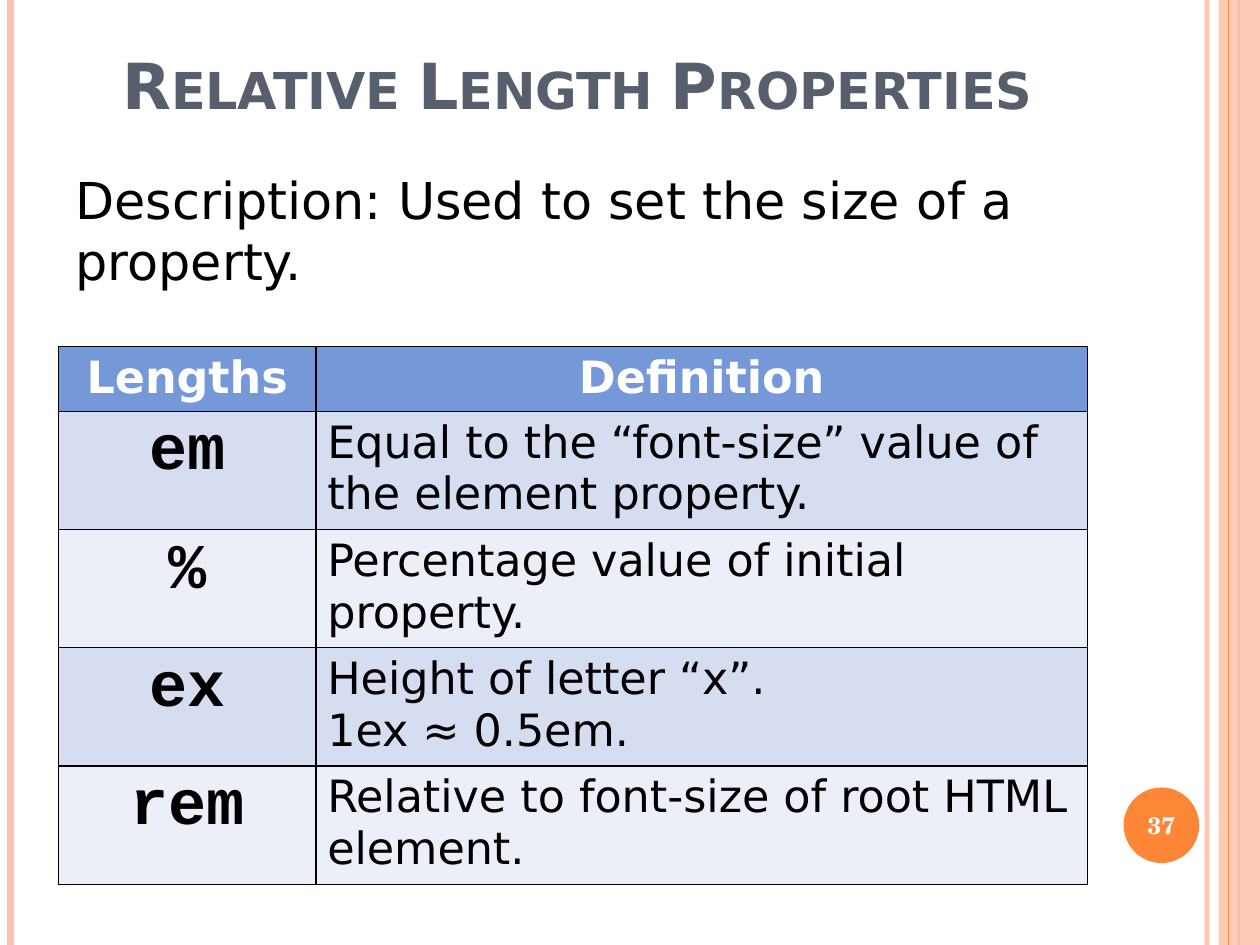
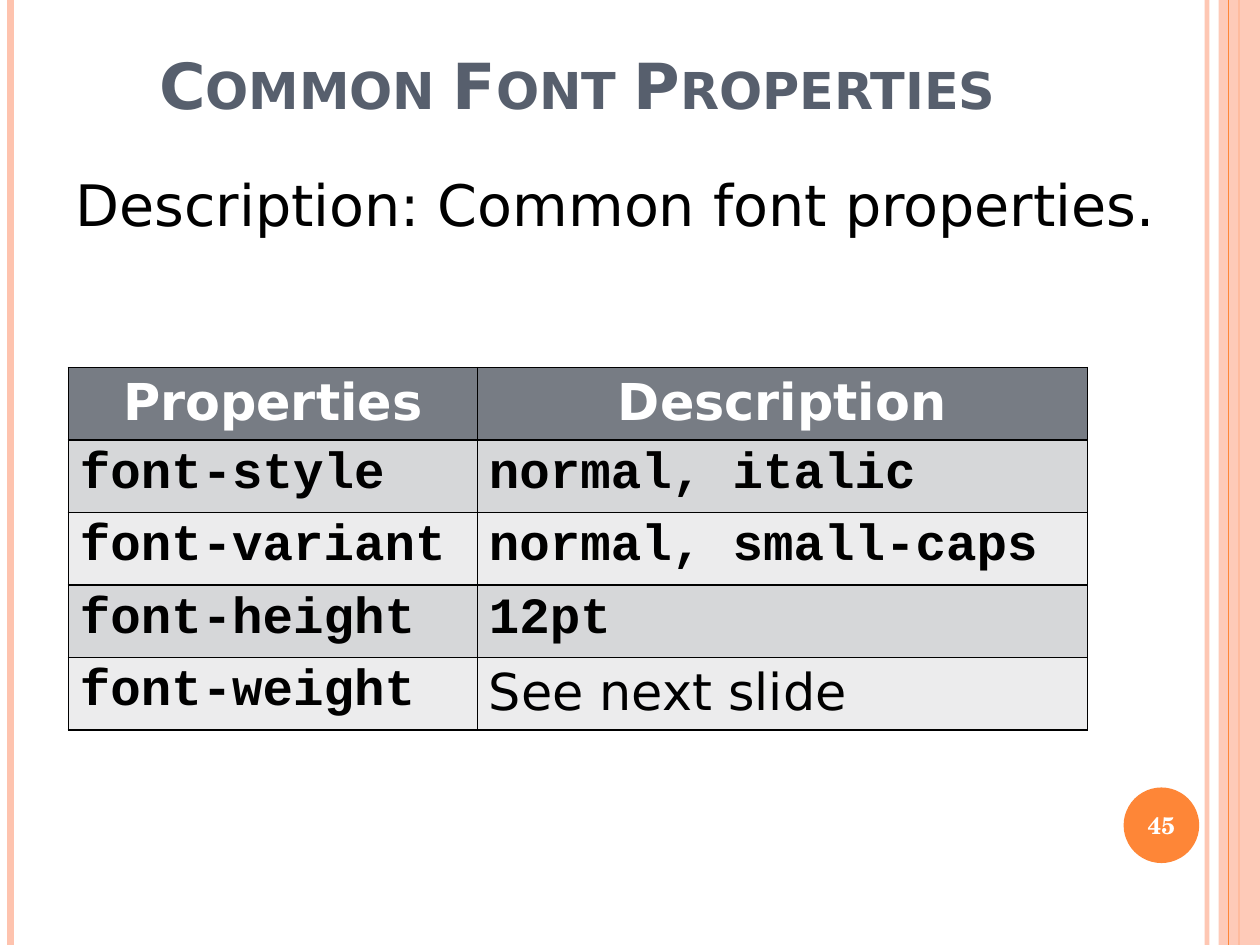
from dataclasses import dataclass

from lxml import etree
from pptx import Presentation
from pptx.dml.color import RGBColor
from pptx.enum.shapes import MSO_CONNECTOR, MSO_SHAPE
from pptx.enum.text import MSO_ANCHOR as Anchor, PP_ALIGN as Align
from pptx.oxml import parse_xml
from pptx.oxml.ns import nsdecls, qn
from pptx.util import Cm, Pt


@dataclass(frozen=True)
class Theme:
    title: str = "575F6D"
    text: str = "000000"
    white: str = "FFFFFF"
    accent: str = "FE8637"
    pale: str = "FEC3AE"
    blue: tuple = ("7598D9", "D6DDF1", "ECEFF8")  # header, odd rows, even rows
    grey: tuple = ("777C84", "D6D7D9", "ECECED")
    sans: str = "DejaVu Sans"
    mono: str = "Courier New"
    serif: str = "TeX Gyre Schola"
    title_size: int = 40
    number_size: int = 15


theme = Theme()


def write_text(frame, text, size, color=theme.text, font=theme.sans,
               bold=False, align=Align.LEFT, small_caps=False):
    frame.word_wrap = True
    paragraph = frame.paragraphs[0]
    paragraph.text = text
    paragraph.alignment = align
    for run in paragraph.runs:
        run.font.size = Pt(size)
        run.font.name = font
        run.font.bold = bold
        run.font.color.rgb = RGBColor.from_string(color)
        if small_caps:
            run.font._element.set("cap", "small")


def set_alpha(element, percent):
    color = element.find(".//" + qn("a:srgbClr"))
    etree.SubElement(color, qn("a:alpha")).set("val", str(percent * 1000))


code = dict(font=theme.mono, bold=True)
code_centred = dict(code, size=40, align=Align.CENTER)

# Slide contents: column formats apply to body rows, lengths in centimetres
slides = [
    dict(title="Relative Length Properties", number="37",
         body="Description: Used to set the size of a property.", body_size=32,
         colors=theme.blue, size=28, left=1.3, top=7.7,
         widths=(5.72, 17.14), heights=(1.4, 2.55, 2.55, 2.55, 2.55),
         formats=(code_centred, {}), exceptions={},
         rows=[("Lengths", "Definition"),
               ("em", "Equal to the “font-size” value of the element property."),
               ("%", "Percentage value of initial property."),
               ("ex", "Height of letter “x”.\v1ex ≈ 0.5em."),
               ("rem", "Relative to font-size of root HTML element.")]),
    dict(title="Common Font Properties", number="45",
         body="Description: Common font properties.", body_size=36,
         colors=theme.grey, size=32, left=1.52, top=8.17,
         widths=(9.09, 13.55), heights=(1.58, 1.53, 1.53, 1.53, 1.58),
         formats=(code, code), exceptions={(4, 1): {}},
         rows=[("Properties", "Description"),
               ("font-style", "normal, italic"),
               ("font-variant", "normal, small-caps"),
               ("font-height", "12pt"),
               ("font-weight", "See next slide")]),
]

# Vertical rules behind and in front of the right band: x, colour, points, opacity
rules_behind = [(26.82, theme.pale, 3, 93), (0.23, theme.pale, 4.5, 100),
                (27.54, theme.accent, 1.5, 100)]
rules_in_front = [(27.3, theme.accent, 0.75, 100)]

presentation = Presentation()
presentation.slide_width, presentation.slide_height = Cm(28), Cm(21)

for content in slides:
    slide = presentation.slides.add_slide(presentation.slide_layouts[6])
    shapes = slide.shapes

    # Side rules and band
    for rules in (rules_behind, rules_in_front):
        if rules is rules_in_front:
            band = shapes.add_shape(MSO_SHAPE.RECTANGLE, Cm(27.08), 0, Cm(0.92), Cm(21))
            band.shadow.inherit = False
            band.fill.solid()
            band.fill.fore_color.rgb = RGBColor.from_string(theme.pale)
            set_alpha(band._element.spPr, 87)
            band.line.fill.background()
        for x, color, points, opacity in rules:
            rule = shapes.add_connector(MSO_CONNECTOR.STRAIGHT, Cm(x), 0, Cm(x), Cm(21))
            rule.line.color.rgb = RGBColor.from_string(color)
            rule.line.width = Pt(points)
            if opacity < 100:
                set_alpha(rule._element.spPr, opacity)
            etree.SubElement(rule._element.spPr, qn("a:effectLst"))

    # Page number disc
    disc = shapes.add_shape(MSO_SHAPE.OVAL, Cm(24.97), Cm(17.5), Cm(1.68), Cm(1.68))
    disc.shadow.inherit = False
    disc.fill.solid()
    disc.fill.fore_color.rgb = RGBColor.from_string(theme.accent)
    disc.line.fill.background()
    frame = disc.text_frame
    frame.margin_left = frame.margin_right = frame.margin_top = frame.margin_bottom = 0
    frame.vertical_anchor = Anchor.MIDDLE
    write_text(frame, content["number"], theme.number_size, theme.white,
               theme.serif, True, Align.CENTER)

    # Title and description
    title = shapes.add_textbox(Cm(1.4), Cm(0.84), Cm(22.86), Cm(2.03)).text_frame
    body = shapes.add_textbox(Cm(1.4), Cm(3.73), Cm(24.87), Cm(2.97)).text_frame
    for frame, top_margin in ((title, 0.1), (body, 0.03)):
        frame.margin_left = frame.margin_right = Cm(0.28)
        frame.margin_top, frame.margin_bottom = Cm(top_margin), Cm(0.15)
    title.vertical_anchor = Anchor.BOTTOM
    write_text(title, content["title"], theme.title_size, theme.title,
               bold=True, align=Align.CENTER, small_caps=True)
    write_text(body, content["body"], content["body_size"])

    # Table
    rows, widths, heights = content["rows"], content["widths"], content["heights"]
    table = shapes.add_table(len(rows), len(widths), Cm(content["left"]), Cm(content["top"]),
                             Cm(sum(widths)), Cm(sum(heights))).table
    for column, width in zip(table.columns, widths):
        column.width = Cm(width)
    header_color, *row_colors = content["colors"]
    header = dict(color=theme.white, bold=True, align=Align.CENTER)
    for i, texts in enumerate(rows):
        table.rows[i].height = Cm(heights[i])
        for j, text in enumerate(texts):
            cell = table.cell(i, j)
            style = content["exceptions"].get((i, j), content["formats"][j]) if i else header
            write_text(cell.text_frame, text, **{"size": content["size"], **style})
            properties = cell._tc.get_or_add_tcPr()
            for side in ("lnL", "lnR", "lnT", "lnB"):
                properties.append(parse_xml(
                    f'<a:{side} {nsdecls("a")} w="{Pt(1)}"><a:solidFill>'
                    f'<a:srgbClr val="{theme.text}"/></a:solidFill></a:{side}>'))
            cell.fill.solid()
            cell.fill.fore_color.rgb = RGBColor.from_string(
                row_colors[(i - 1) % 2] if i else header_color)

presentation.save("out.pptx")
